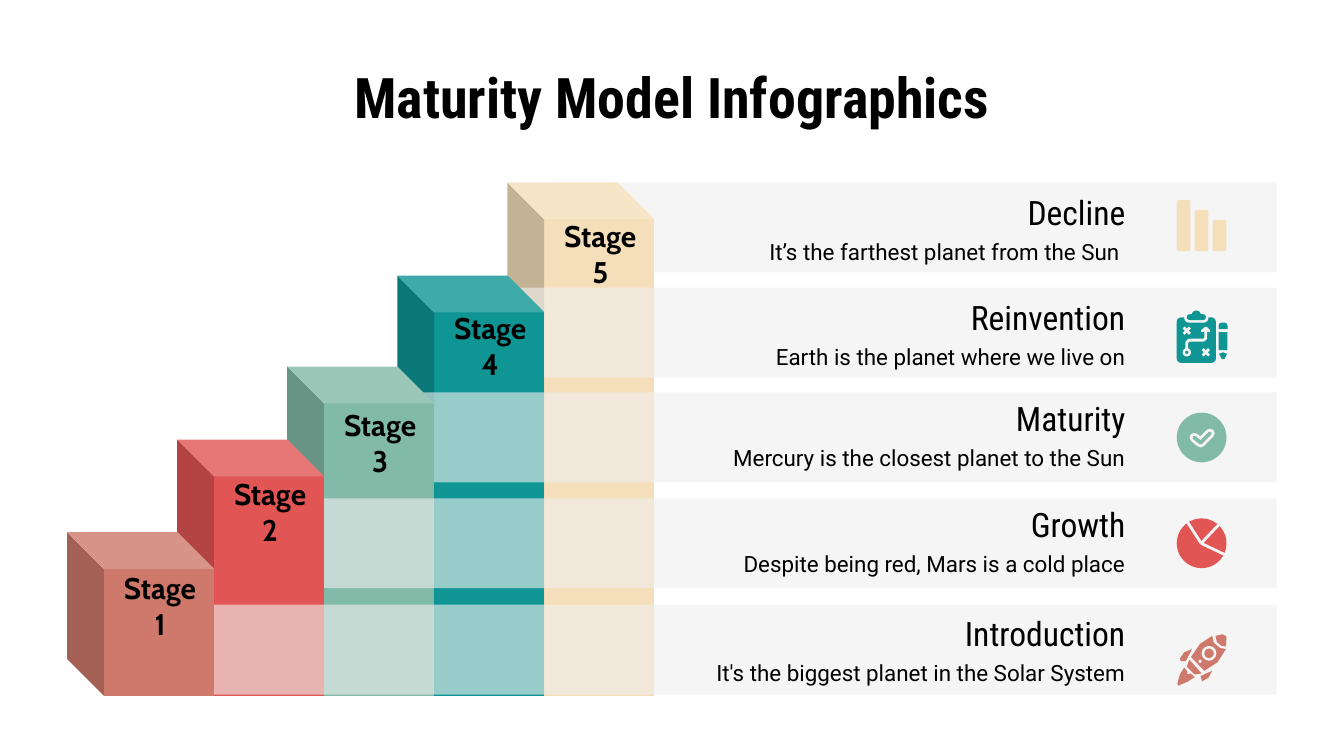
from pptx import Presentation
from pptx.dml.color import RGBColor
from pptx.enum.shapes import MSO_CONNECTOR as LINK, MSO_SHAPE as KIND
from pptx.enum.text import MSO_ANCHOR as ANCHOR, PP_ALIGN as ALIGN
from pptx.oxml import parse_xml
from pptx.oxml.ns import nsdecls, qn
from pptx.util import Cm, Pt

COLOURS = {
    "ink": "000000", "band": "EFEFEF", "pale": "F5F5F5",
    "clay": "CE796B", "red": "E15554", "sage": "82BAA8",
    "teal": "0E9594", "sand": "F5DFBB",
}
BAND_RIGHT, BAND_HEIGHT = 24.13, 1.7
CUBE_LEFT, CUBE_STEP, CUBE_WIDTH, CUBE_BOTTOM = 1.27, 2.08, 2.78, 13.15
TEXT_RIGHT, ICON_LEFT = 21.52, 22.24


def rgb(name):
    return RGBColor.from_string(COLOURS[name])


def add_text(page, text, left, top, width, height, size, font,
             bold=False, align=ALIGN.RIGHT):
    box = page.shapes.add_textbox(Cm(left), Cm(top), Cm(width), Cm(height))
    frame = box.text_frame
    frame.word_wrap = True
    frame.vertical_anchor = ANCHOR.MIDDLE
    for side in ("left", "right", "top", "bottom"):
        setattr(frame, f"margin_{side}", Cm(0.25))
    para = frame.paragraphs[0]
    para.alignment = align
    span = para.add_run()
    span.text = text
    span.font.size, span.font.name, span.font.bold = Pt(size), font, bold
    span.font.color.rgb = rgb("ink")


def add_block(page, kind, left, top, width, height, colour, rounding=None):
    block = page.shapes.add_shape(kind, Cm(left), Cm(top), Cm(width), Cm(height))
    block.shadow.inherit = False
    block.fill.solid()
    block.fill.fore_color.rgb = rgb(colour)
    block.line.fill.background()
    if rounding is not None:
        block.adjustments[0] = rounding
    return block


def add_disc(page, x, y, radius, colour):
    add_block(page, KIND.OVAL, x - radius, y - radius, 2 * radius, 2 * radius, colour)


def add_band(page, left, top):
    band = add_block(page, KIND.RECTANGLE, left, top,
                     BAND_RIGHT - left, BAND_HEIGHT, "band")
    tint = band._element.spPr.find(qn("a:solidFill"))[0]
    tint.append(parse_xml(f'<a:alpha {nsdecls("a")} val="61000"/>'))


def add_cube(page, left, top, colour):
    cube = add_block(page, KIND.CUBE, left, top, CUBE_WIDTH, CUBE_BOTTOM - top, colour)
    cube._element.spPr.find(qn("a:xfrm")).set("flipH", "1")


def add_outline(page, x, y, points, colour, weight=None):
    """Draw a filled polygon, or an open stroke when a weight is given."""
    spots = [(Cm(x + dx), Cm(y + dy)) for dx, dy in points]
    builder = page.shapes.build_freeform(*spots[0], scale=1.0)
    builder.add_line_segments(spots[1:], close=weight is None)
    outline = builder.convert_to_shape()
    outline.shadow.inherit = False
    if weight is None:
        outline.fill.solid()
        outline.fill.fore_color.rgb = rgb(colour)
        outline.line.fill.background()
    else:
        outline.fill.background()
        outline.line.color.rgb = rgb(colour)
        outline.line.width = Pt(weight)
        outline._element.spPr.find(qn("a:ln")).set("cap", "rnd")


def add_line(page, x1, y1, x2, y2, weight):
    line = page.shapes.add_connector(LINK.STRAIGHT, Cm(x1), Cm(y1), Cm(x2), Cm(y2))
    line.line.color.rgb = rgb("pale")
    line.line.width = Pt(weight)
    line._element.spPr.append(parse_xml(f'<a:effectLst {nsdecls("a")}/>'))


def draw_bars(page, x, y, colour):
    for step in range(3):
        drop = 0.19 * step
        add_block(page, KIND.ROUNDED_RECTANGLE, x + 0.34 * step, y + drop,
                  0.26, 0.97 - drop, colour, 0.16)


def draw_plan(page, x, y, colour):
    rounded = KIND.ROUNDED_RECTANGLE
    add_block(page, rounded, x, y + 0.13, 0.74, 0.86, colour, 0.11)
    add_block(page, rounded, x + 0.14, y + 0.05, 0.46, 0.18, "pale", 0.5)
    add_block(page, rounded, x + 0.19, y + 0.07, 0.36, 0.11, colour, 0.5)
    add_disc(page, x + 0.37, y + 0.09, 0.09, colour)
    for dx, dy in ((0.19, 0.38), (0.55, 0.79)):
        for rise in (-0.06, 0.06):
            add_line(page, x + dx - 0.06, y + dy - rise, x + dx + 0.06, y + dy + rise, 1.5)
    add_disc(page, x + 0.19, y + 0.79, 0.08, "pale")
    add_disc(page, x + 0.19, y + 0.79, 0.03, colour)
    route = [(0.19, 0.73), (0.19, 0.6), (0.23, 0.56), (0.51, 0.56), (0.55, 0.52), (0.55, 0.34)]
    add_outline(page, x, y, route, "pale", 1.5)
    add_outline(page, x, y, [(0.48, 0.39), (0.55, 0.33), (0.61, 0.39)], "pale", 1.5)
    add_block(page, KIND.ROUND_2_SAME_RECTANGLE, x + 0.79, y + 0.23, 0.17, 0.12, colour, 0.5)
    add_block(page, KIND.RECTANGLE, x + 0.79, y + 0.41, 0.17, 0.34, colour)
    tip = [(0.8, 0.82), (0.87, 0.79), (0.95, 0.82), (0.9, 0.92), (0.85, 0.92)]
    add_outline(page, x, y, tip, colour)


def draw_check(page, x, y, colour):
    add_disc(page, x + 0.47, y + 0.47, 0.47, colour)
    tick = [(0.33, 0.47), (0.45, 0.57), (0.63, 0.39)]
    for shade, weight in (("pale", 5), (colour, 2)):
        add_outline(page, x, y, tick, shade, weight)


def draw_pie(page, x, y, colour):
    add_disc(page, x + 0.47, y + 0.47, 0.47, colour)
    for dx, dy in ((0.16, 0), (0.83, 0.08), (0.92, 0.69)):
        add_line(page, x + 0.46, y + 0.47, x + dx, y + dy, 1.5)


def draw_rocket(page, x, y, colour):
    parts = {
        "nose": [(0.73, 0.03), (0.87, 0), (0.94, 0.04), (0.93, 0.23),
                 (0.85, 0.22), (0.76, 0.15)],
        "body": [(0.67, 0.03), (0.44, 0.18), (0.27, 0.43), (0.52, 0.69),
                 (0.77, 0.53), (0.93, 0.28), (0.82, 0.26), (0.7, 0.16)],
        "tail": [(0.24, 0.48), (0.19, 0.61), (0.34, 0.76), (0.47, 0.74)],
        "left fin": [(0.29, 0.28), (0.14, 0.34), (0.06, 0.46), (0.08, 0.51), (0.17, 0.51)],
        "right fin": [(0.67, 0.69), (0.45, 0.79), (0.48, 0.89), (0.6, 0.82)],
        "flame": [(0.14, 0.63), (0.06, 0.76), (0.01, 0.94), (0.03, 0.97),
                  (0.2, 0.9), (0.34, 0.81), (0.26, 0.74), (0.2, 0.76), (0.2, 0.7)],
    }
    for points in parts.values():
        add_outline(page, x, y, points, colour)
    add_disc(page, x + 0.61, y + 0.36, 0.14, "pale")
    add_disc(page, x + 0.61, y + 0.36, 0.09, colour)
    add_disc(page, x + 0.44, y + 0.51, 0.03, "pale")


STAGES = [
    ("Introduction", "It's the biggest planet in the Solar System", "clay",
     (1.96, 11.43), 10.06, 10.8, 11.58, draw_rocket, 11.99),
    ("Growth", "Despite being red, Mars is a cold place", "red",
     (4.22, 9.42), 8.31, 9.02, 9.53, draw_pie, 9.8),
    ("Maturity", "Mercury is the closest planet to the Sun", "sage",
     (6.4, 7.42), 6.93, 7.72, 7.52, draw_check, 7.8),
    ("Reinvention", "Earth is the planet where we live on", "teal",
     (8.61, 5.44), 5.21, 5.89, 5.61, draw_plan, 5.87),
    ("Decline", "It’s the farthest planet from the Sun ", "sand",
     (10.36, 3.45), 3.45, 4.14, 3.63, draw_bars, 3.78),
]


def add_stage(page, index):
    (heading, detail, colour, band, cube_top, label_top,
     heading_top, draw_icon, icon_top) = STAGES[index]
    left = CUBE_LEFT + CUBE_STEP * index
    add_band(page, *band)
    add_text(page, detail, TEXT_RIGHT - 8.71, heading_top + 0.75, 8.71, 0.76, 12, "Roboto")
    add_text(page, heading, TEXT_RIGHT - 4.37, heading_top, 4.37, 0.76, 18, "Roboto Condensed")
    draw_icon(page, ICON_LEFT, icon_top, colour)
    add_cube(page, left, cube_top, colour)
    add_text(page, f"Stage {index + 1}", left + 0.69, label_top, 2.13, 1.3,
             16, "Cabin", bold=True, align=ALIGN.CENTER)


def main():
    deck = Presentation()
    deck.slide_width, deck.slide_height = Cm(25.4), Cm(14.29)
    page = deck.slides.add_slide(deck.slide_layouts[6])
    add_text(page, "Maturity Model Infographics", 1.27, 1.14, 22.86, 1.35,
             30, "Roboto Condensed", bold=True, align=ALIGN.CENTER)
    for index in reversed(range(len(STAGES))):
        add_stage(page, index)
    deck.save("out.pptx")


if __name__ == "__main__":
    main()
